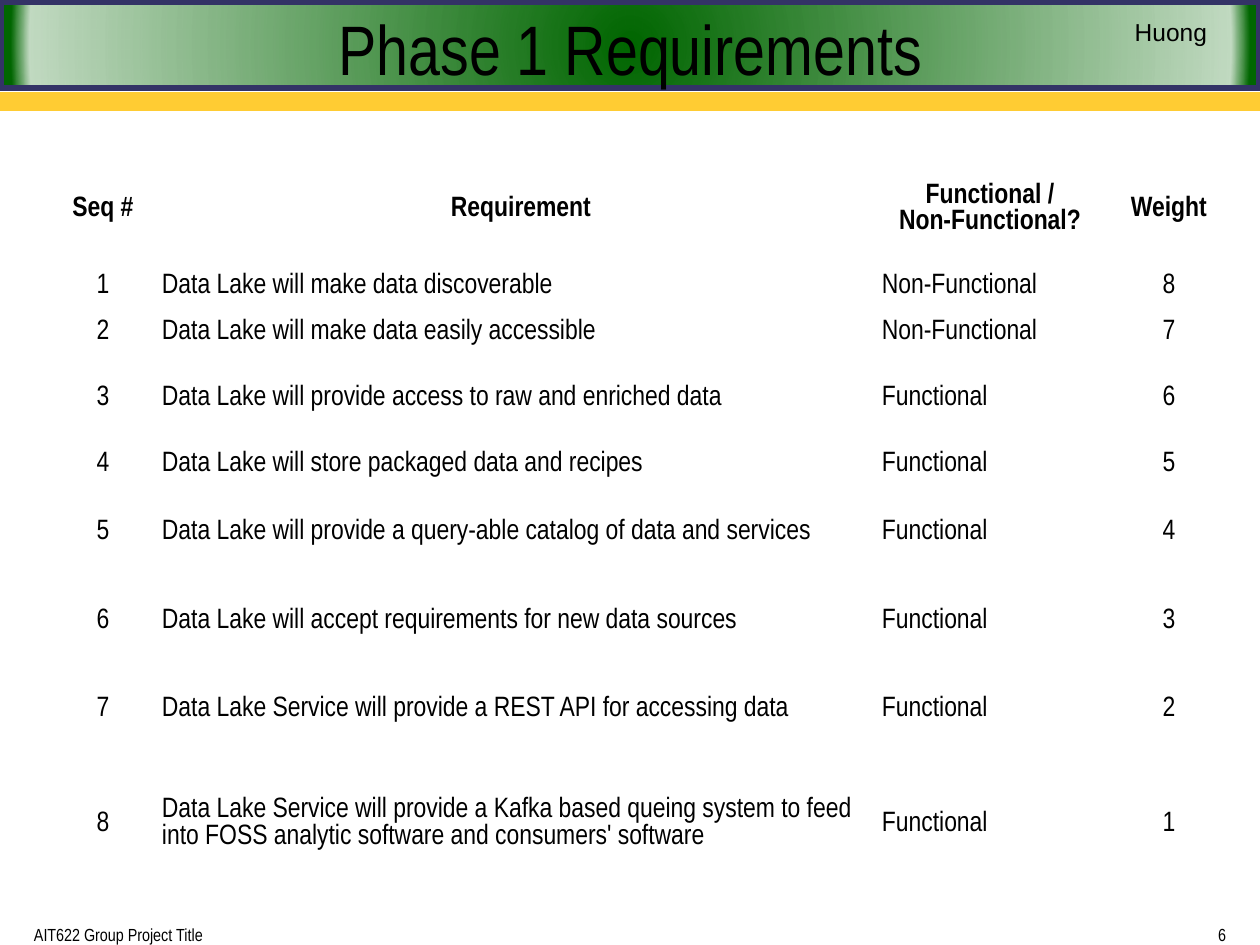
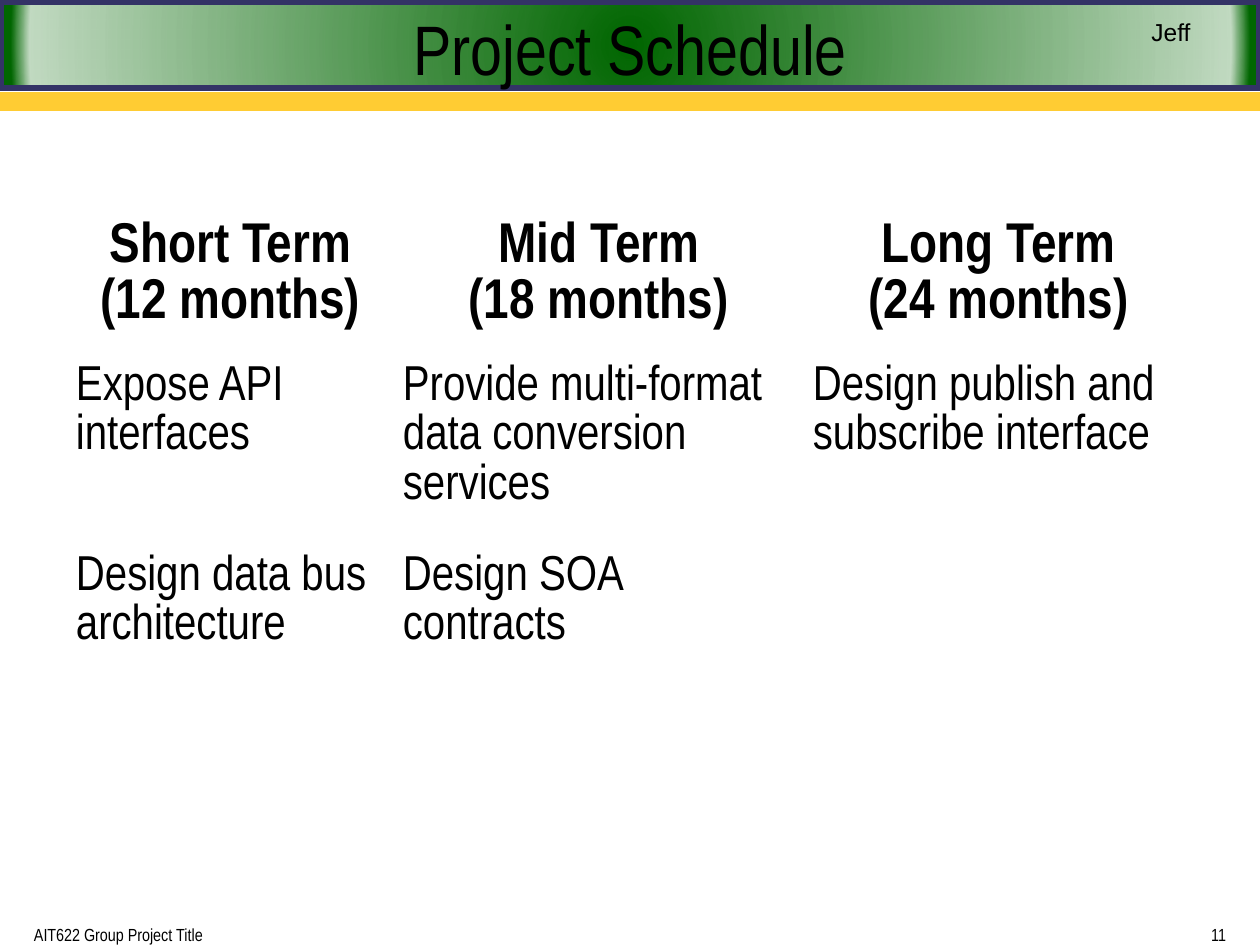
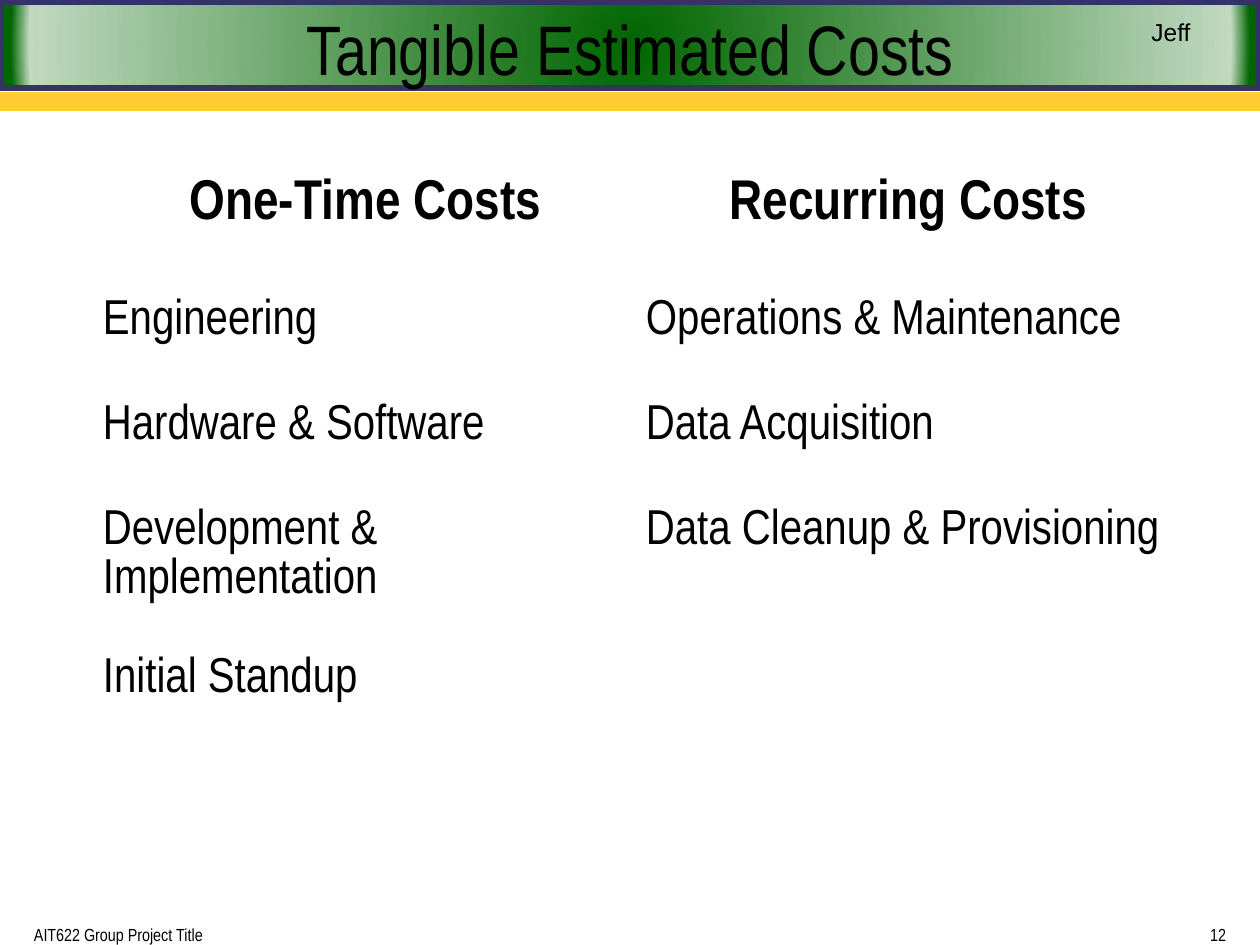
from dataclasses import dataclass

from lxml import etree
from pptx import Presentation
from pptx.dml.color import RGBColor
from pptx.enum import shapes, text
from pptx.oxml.ns import qn
from pptx.util import Pt

EMU_PER_PX = 914400 / 126
SLIDE_W, SLIDE_H = 1260, 945
BLANK_LAYOUT = 6
NO_GRID_STYLE = "{2D5ABB26-0587-4C30-8999-92F81FD0307C}"
LEFT, CENTER, RIGHT = (text.PP_ALIGN.LEFT, text.PP_ALIGN.CENTER,
                       text.PP_ALIGN.RIGHT)
MIDDLE, TOP, BOTTOM = (text.MSO_ANCHOR.MIDDLE, text.MSO_ANCHOR.TOP,
                       text.MSO_ANCHOR.BOTTOM)


@dataclass(frozen=True)
class Theme:
    ink: str = "000000"
    green: str = "006600"
    navy: str = "333366"
    gold: str = "FFCC33"
    narrow: str = "Arial Narrow"
    plain: str = "Arial"
    title: int = 40
    heading: int = 32
    body: int = 28
    small_table: int = 16
    author: int = 14
    footer: int = 10


def px(length):
    return round(length * EMU_PER_PX)


class Deck:
    """Holds the style and the slide being built."""

    def __init__(self, theme):
        self.theme = theme
        self.prs = Presentation()
        self.prs.slide_width, self.prs.slide_height = px(SLIDE_W), px(SLIDE_H)
        self.slide = None

    # Text
    def style(self, frame, size, align, font=None, bold=False, spacing=None):
        for paragraph in frame.paragraphs:
            paragraph.alignment = align
            if spacing:
                paragraph.line_spacing = spacing
            # Runs carry the font too, so that row heights are measured with it
            for face in (paragraph.font, *(run.font for run in paragraph.runs)):
                face.name = font or self.theme.narrow
                face.size = Pt(size)
                face.bold = bold
                face.color.rgb = RGBColor.from_string(self.theme.ink)
            etree.SubElement(paragraph._p, qn("a:endParaRPr"),
                             sz=str(size * 100))

    def label(self, box, words, size, align, anchor=MIDDLE, insets=(13, 6, 13, 6),
              font=None):
        frame = self.slide.shapes.add_textbox(*map(px, box)).text_frame
        frame.word_wrap = True
        frame.vertical_anchor = anchor
        (frame.margin_left, frame.margin_top,
         frame.margin_right, frame.margin_bottom) = map(px, insets)
        frame.text = words
        self.style(frame, size, align, font)

    # Shapes
    def band(self, box, color, kind=shapes.MSO_SHAPE.RECTANGLE):
        band = self.slide.shapes.add_shape(kind, *map(px, box))
        band.shadow.inherit = False
        band.fill.solid()
        band.fill.fore_color.rgb = RGBColor.from_string(color)
        band.line.fill.background()
        return band

    def radial_fill(self, shape, color, stops):
        """Replace the solid fill by rings of (position, opacity) in percent."""
        solid = shape._element.spPr.find(qn("a:solidFill"))
        gradient = etree.Element(qn("a:gradFill"), rotWithShape="1")
        stop_list = etree.SubElement(gradient, qn("a:gsLst"))
        for position, opacity in stops:
            stop = etree.SubElement(stop_list, qn("a:gs"), pos=str(position * 1000))
            tint = etree.SubElement(stop, qn("a:srgbClr"), val=color)
            if opacity < 100:
                etree.SubElement(tint, qn("a:alpha"), val=str(opacity * 1000))
        path = etree.SubElement(gradient, qn("a:path"), path="circle")
        etree.SubElement(path, qn("a:fillToRect"),
                         {side: "50000" for side in "ltrb"})
        solid.getparent().replace(solid, gradient)

    # Shared parts of every slide
    def start(self, title, author, number):
        theme = self.theme
        self.slide = self.prs.slides.add_slide(
            self.prs.slide_layouts[BLANK_LAYOUT])
        banner = (0, 1, SLIDE_W, 88)
        glow = self.band(banner, theme.green)
        self.radial_fill(glow, theme.green,
                         [(0, 100), (95, 24), (98, 100), (100, 100)])
        border = self.band(banner, theme.navy, shapes.MSO_SHAPE.FRAME)
        border.adjustments[0] = 0.023
        border.line.color.rgb = RGBColor.from_string(theme.navy)
        border.line.width = Pt(2.25)
        self.band((0, 92, SLIDE_W, 19), theme.gold)
        self.label((21, 0, 1218, 94), title, theme.title, CENTER,
                   insets=(13, 13, 13, 13))
        self.label((1103, 11, 136, 42), author, theme.author, CENTER,
                   font=theme.plain)
        for left, width, words, align in (
                (21, 274, "AIT622 Group Project Title", LEFT),
                (1166, 73, str(number), RIGHT)):
            self.label((left, 917, width, 28), words, theme.footer, align,
                       BOTTOM, (13, 0, 13, 0))

    # Tables: the first row is a bold, centred heading
    def table(self, left, top, widths, heights, rows, heading_size, body_size,
              insets, anchor=TOP, spacing=None, centered=(), frame_height=None):
        holder = self.slide.shapes.add_table(
            len(heights), len(widths), px(left), px(top),
            px(sum(widths)), px(sum(heights)))
        table = holder.table
        table.first_row = table.horz_banding = False
        table._tbl.tblPr.find(qn("a:tableStyleId")).text = NO_GRID_STYLE
        for column, width in zip(table.columns, widths):
            column.width = px(width)
        for row, height in zip(table.rows, heights):
            row.height = px(height)
        if frame_height:
            holder.height = px(frame_height)
        for r, row in enumerate(rows):
            for c, words in enumerate(row):
                cell = table.cell(r, c)
                cell.fill.background()
                cell.vertical_anchor = anchor
                (cell.margin_left, cell.margin_top,
                 cell.margin_right, cell.margin_bottom) = map(px, insets)
                cell.text = words
                heading = r == 0
                self.style(cell.text_frame,
                           heading_size if heading else body_size,
                           CENTER if heading or c in centered else LEFT,
                           bold=heading, spacing=spacing)

    def large_table(self, left, top, widths, heights, rows, frame_height=None):
        self.table(left, top, widths, heights, rows, self.theme.heading,
                   self.theme.body, (9, 0, 9, 0), spacing=1.07,
                   frame_height=frame_height)


def requirements(deck):
    deck.start("Phase 1 Requirements", "Huong", 6)
    needs = [
        ("Data Lake will make data discoverable", "Non-Functional"),
        ("Data Lake will make data easily accessible", "Non-Functional"),
        ("Data Lake will provide access to raw and enriched data", "Functional"),
        ("Data Lake will store packaged data and recipes", "Functional"),
        ("Data Lake will provide a query-able catalog of data and services",
         "Functional"),
        ("Data Lake will accept requirements for new data sources", "Functional"),
        ("Data Lake Service will provide a REST API for accessing data",
         "Functional"),
        ("Data Lake Service will provide a Kafka based queing system to feed "
         "into FOSS analytic software and consumers' software", "Functional"),
    ]
    rows = [("Seq #", "Requirement", "Functional /\vNon-Functional?", "Weight")]
    for seq, (need, category) in enumerate(needs, 1):
        rows.append((str(seq), need, category, str(len(needs) + 1 - seq)))
    size = deck.theme.small_table
    deck.table(45, 155, (116, 720, 218, 140),
               (108, 46, 46, 86, 45, 92, 85, 92, 137), rows, size, size,
               (1, 1, 1, 0), anchor=MIDDLE, centered=(0, 3))


def schedule(deck):
    deck.start("Project Schedule", "Jeff", 11)
    deck.large_table(67, 218, (327, 410, 390), (114, 190, 195), [
        ("Short Term\n(12 months)", "Mid Term\n(18 months)",
         "Long Term\n(24 months)"),
        ("Expose API interfaces",
         "Provide multi-format data conversion services",
         "Design publish and subscribe interface"),
        ("Design data bus architecture", "Design SOA contracts", ""),
    ], frame_height=529)


def costs(deck):
    deck.start("Tangible Estimated Costs", "Jeff", 12)
    deck.large_table(94, 175, (543, 543), (121, 105, 105, 148, 106), [
        ("One-Time Costs", "Recurring Costs"),
        ("Engineering", "Operations & Maintenance"),
        ("Hardware & Software", "Data Acquisition"),
        ("Development & Implementation", "Data Cleanup & Provisioning"),
        ("Initial Standup", ""),
    ])


def main():
    deck = Deck(Theme())
    for build in (requirements, schedule, costs):
        build(deck)
    deck.prs.save("out.pptx")


if __name__ == "__main__":
    main()
